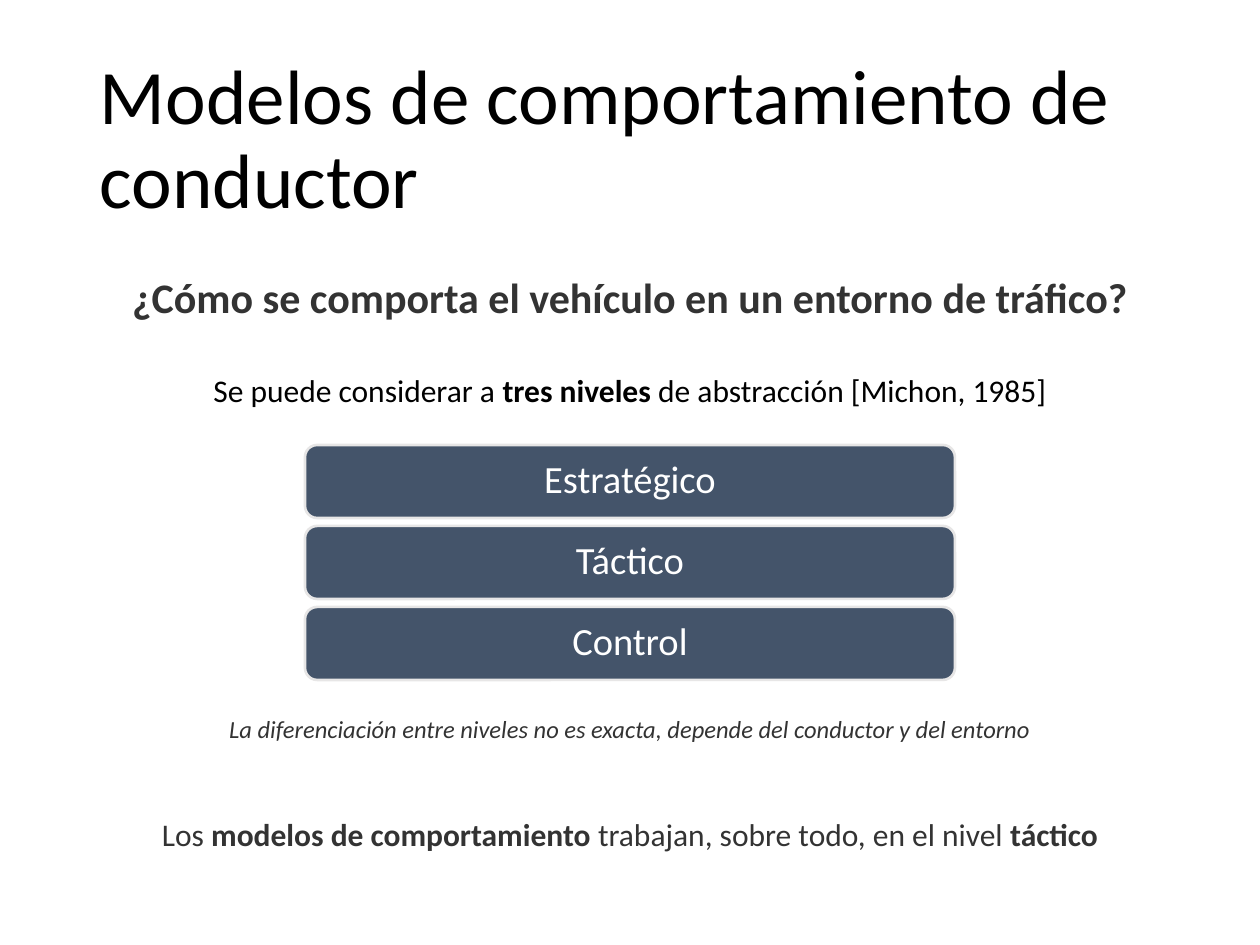
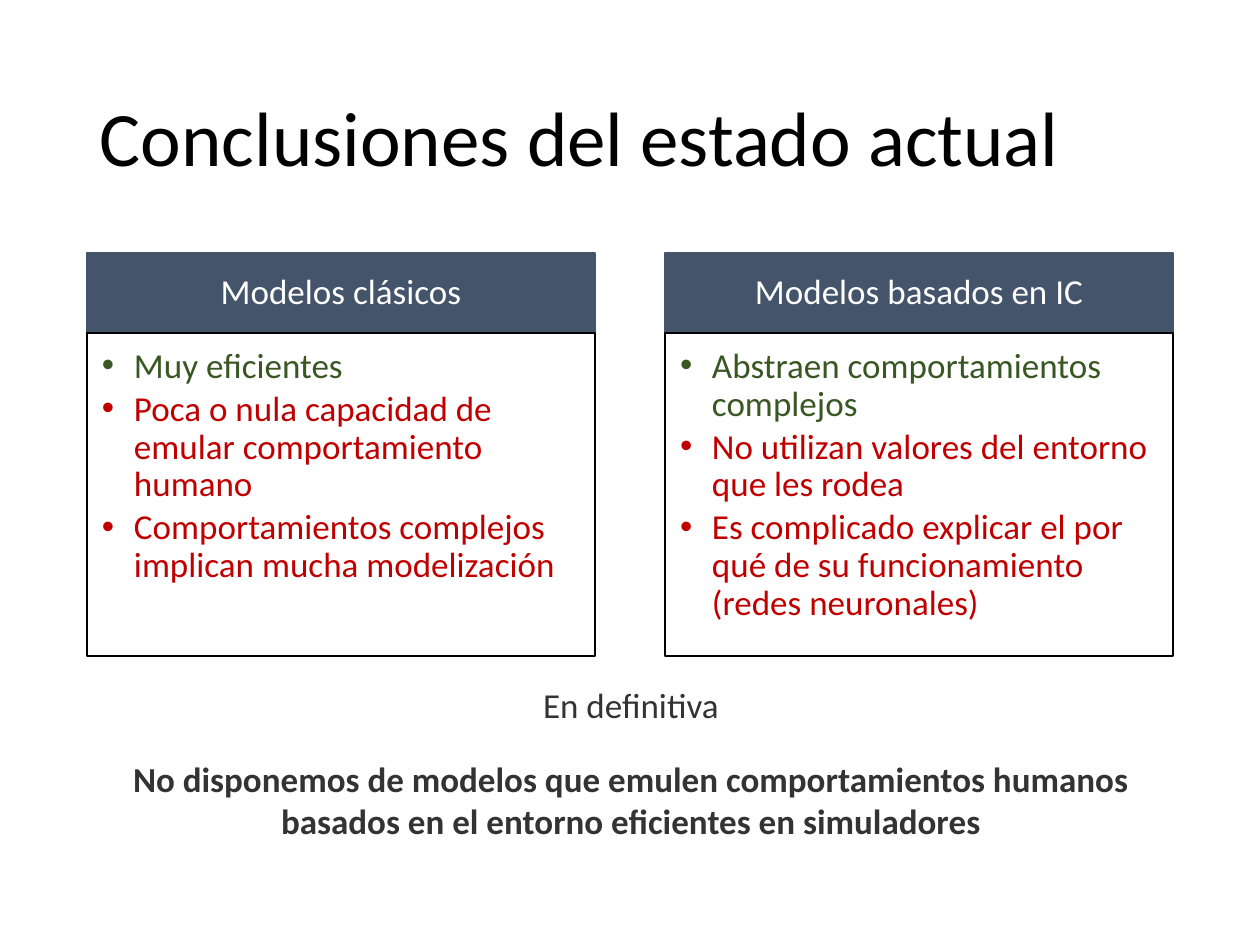
from dataclasses import dataclass

from lxml.etree import SubElement
from pptx import Presentation
from pptx.dml.color import RGBColor
from pptx.enum.shapes import MSO_SHAPE as Preset
from pptx.enum.text import MSO_ANCHOR as Anchor, PP_ALIGN as Align
from pptx.oxml.ns import qn
from pptx.util import Emu, Pt

PX_PER_INCH = 126
FONT = "Calibri"
BLACK, WHITE, GRAY = "000000", "FFFFFF", "333333"
SLATE, PALE = "44546A", "E7E6E6"
GREEN, RED = "385723", "C00000"
MARGIN, CONTENT_WIDTH = 87, 1086


def px(length: int) -> Emu:
    return Emu(round(length * 914400 / PX_PER_INCH))


def color(code: str) -> RGBColor:
    return RGBColor.from_string(code)


@dataclass(frozen=True)
class Area:
    left: int
    top: int
    width: int
    height: int

    def emu(self) -> tuple:
        return tuple(map(px, (self.left, self.top, self.width, self.height)))


@dataclass(frozen=True)
class Style:
    size: int
    color: str = GRAY
    bold: bool = False
    italic: bool = False
    align: Align = Align.CENTER
    anchor: Anchor = Anchor.TOP
    spacing: float = 1.0
    insets: tuple = (13, 6, 13, 6)


@dataclass(frozen=True)
class Panel:
    preset: Preset
    fill: str
    line: str
    line_width: float


@dataclass(frozen=True)
class Column:
    heading: str
    strength: str
    weaknesses: tuple


TITLE = Style(44, BLACK, align=Align.LEFT, anchor=Anchor.MIDDLE, spacing=0.9)
LEVEL = Style(22, WHITE, anchor=Anchor.MIDDLE, spacing=0.9, insets=(11, 11, 11, 11))
HEADING = Style(20, WHITE, anchor=Anchor.MIDDLE, spacing=0.9, insets=(20, 11, 20, 11))
POINTS = Style(20, align=Align.LEFT, spacing=0.9, insets=(15, 15, 20, 21))

LEVEL_PANEL = Panel(Preset.ROUNDED_RECTANGLE, SLATE, PALE, 1.5)
HEADING_PANEL = Panel(Preset.RECTANGLE, SLATE, SLATE, 1)
POINTS_PANEL = Panel(Preset.RECTANGLE, WHITE, BLACK, 1)

COLUMNS = (
    Column("Modelos clásicos", "Muy eficientes", (
        "Poca o nula capacidad de emular comportamiento humano",
        "Comportamientos complejos implican mucha modelización")),
    Column("Modelos basados en IC", "Abstraen comportamientos complejos", (
        "No utilizan valores del entorno que les rodea",
        "Es complicado explicar el por qué de su funcionamiento (redes neuronales)")),
)


def set_frame(frame, style: Style) -> None:
    frame.word_wrap = True
    frame.vertical_anchor = style.anchor
    (frame.margin_left, frame.margin_top,
     frame.margin_right, frame.margin_bottom) = map(px, style.insets)


def write(para, text: str, style: Style, text_color: str) -> None:
    para.alignment = style.align
    para.line_spacing = style.spacing
    font = para.font
    font.name, font.size = FONT, Pt(style.size)
    font.bold, font.italic = style.bold, style.italic
    font.color.rgb = color(text_color)
    for index, part in enumerate(text.split("*")):
        if part:
            span = para.add_run()
            span.text = part
            if index % 2:
                span.font.bold = True


def add_text(page, area: Area, text: str, style: Style) -> None:
    frame = page.shapes.add_textbox(*area.emu()).text_frame
    set_frame(frame, style)
    write(frame.paragraphs[0], text, style, style.color)


def add_panel(page, area: Area, panel: Panel, style: Style):
    shape = page.shapes.add_shape(panel.preset, *area.emu())
    shape.shadow.inherit = False
    shape.fill.solid()
    shape.fill.fore_color.rgb = color(panel.fill)
    shape.line.color.rgb = color(panel.line)
    shape.line.width = Pt(panel.line_width)
    set_frame(shape.text_frame, style)
    return shape.text_frame


def add_bullet(para) -> None:
    properties = para._p.get_or_add_pPr()
    properties.set("marL", str(px(32)))
    properties.set("indent", str(-px(32)))
    SubElement(properties, qn("a:buFont"), typeface="Arial")
    SubElement(properties, qn("a:buChar"), char="•")


def add_column(page, left: int, column: Column) -> None:
    width = 508
    heading = add_panel(page, Area(left, 253, width, 80), HEADING_PANEL, HEADING)
    write(heading.paragraphs[0], column.heading, HEADING, HEADING.color)
    body = add_panel(page, Area(left, 333, width, 323), POINTS_PANEL, POINTS)
    points = [(column.strength, GREEN)] + [(text, RED) for text in column.weaknesses]
    for index, (text, text_color) in enumerate(points):
        para = body.add_paragraph() if index else body.paragraphs[0]
        add_bullet(para)
        para.space_after = Pt(3)
        write(para, text, POINTS, text_color)


def add_page(deck, title: str):
    page = deck.slides.add_slide(deck.slide_layouts[6])
    add_text(page, Area(MARGIN, 50, CONTENT_WIDTH, 183), title, TITLE)
    return page


def add_levels_page(deck) -> None:
    page = add_page(deck, "Modelos de comportamiento de conductor")
    for index, name in enumerate(("Estratégico", "Táctico", "Control")):
        area = Area(305, 445 + 81 * index, 650, 73)
        frame = add_panel(page, area, LEVEL_PANEL, LEVEL)
        write(frame.paragraphs[0], name, LEVEL, LEVEL.color)
    captions = (
        (266, 63, "¿Cómo se comporta el vehículo en un entorno de tráfico?",
         Style(24, bold=True)),
        (365, 50, "Se puede considerar a *tres niveles* de abstracción [Michon, 1985]",
         Style(18, BLACK)),
        (708, 43, "La diferenciación entre niveles no es exacta, "
         "depende del conductor y del entorno", Style(14, italic=True)),
        (809, 50, "Los *modelos de comportamiento* trabajan, sobre todo, "
         "en el nivel *táctico*", Style(18)),
    )
    for top, height, text, style in captions:
        add_text(page, Area(MARGIN, top, CONTENT_WIDTH, height), text, style)


def add_conclusions_page(deck) -> None:
    page = add_page(deck, "Conclusiones del estado actual")
    for index, column in enumerate(COLUMNS):
        add_column(page, MARGIN + 578 * index, column)
    add_text(page, Area(77, 677, 1108, 55), "En definitiva", Style(20))
    add_text(page, Area(77, 751, 1108, 97),
             "No disponemos de modelos que emulen comportamientos humanos "
             "basados en el entorno eficientes en simuladores", Style(20, bold=True))


def main() -> None:
    deck = Presentation()
    deck.slide_width, deck.slide_height = px(1260), px(945)
    add_levels_page(deck)
    add_conclusions_page(deck)
    deck.save("out.pptx")


if __name__ == "__main__":
    main()
